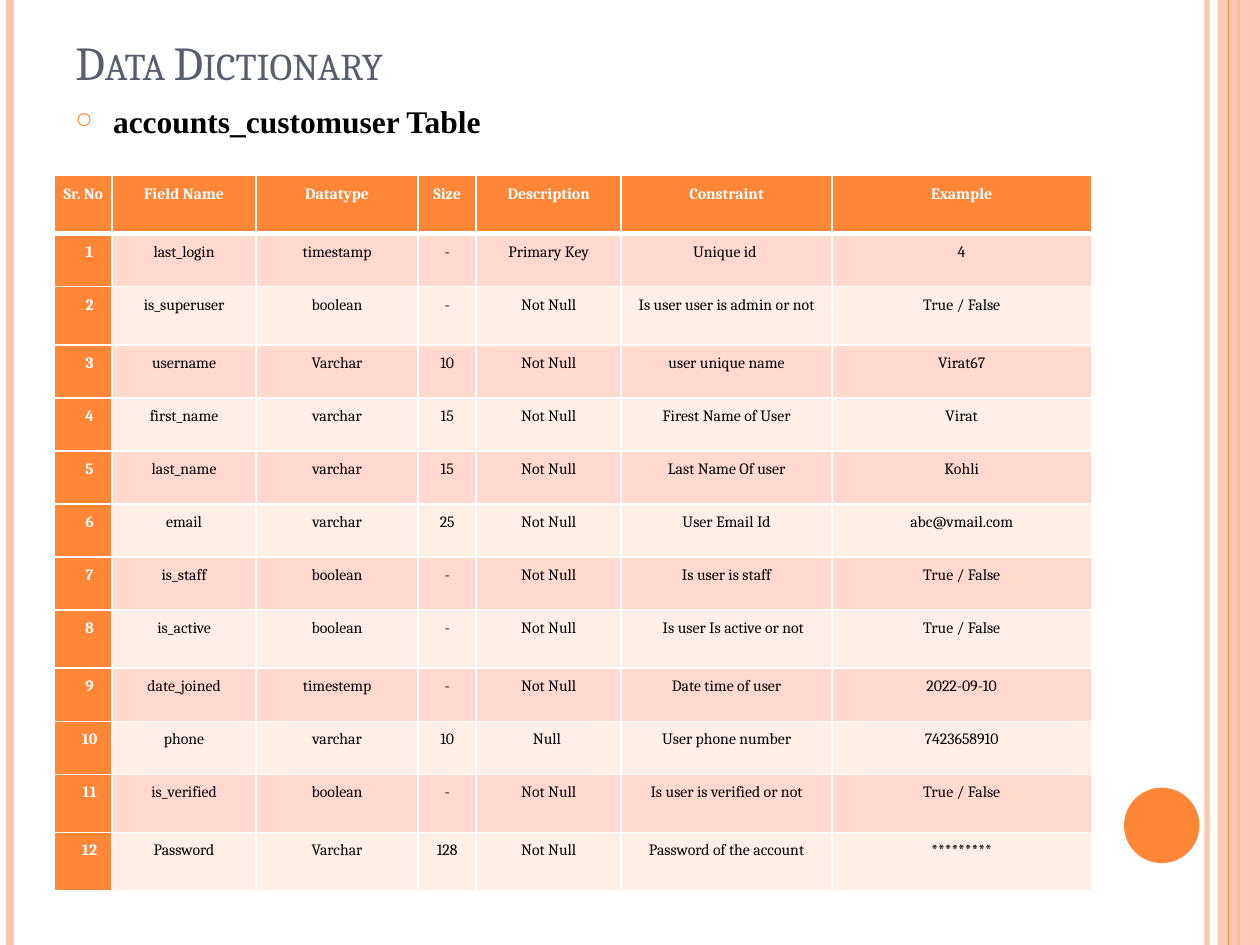
from typing import NamedTuple, Optional

from lxml import etree
from pptx import Presentation
from pptx import util as u
from pptx.dml import color
from pptx.enum import shapes, text
from pptx.oxml import ns

WIDTH, HEIGHT = 25.4, 19.05
ORANGE, PEACH, WHITE, BLACK, SLATE = "FE8637", "FEC3AE", "FFFFFF", "000000", "575F6D"
BANDS = ("FFD9CE", "FFEDE8")


class Stripe(NamedTuple):
    x: float
    hex_color: str
    points: float
    opacity: Optional[int] = None


class Style(NamedTuple):
    font: str
    size: float
    hex_color: str
    bold: bool = False
    small_caps: bool = False


HEADER = Style("Cambria", 9, WHITE, bold=True)
BODY = Style("Cambria", 9, BLACK)
TITLE = Style("Cambria", 27, SLATE, small_caps=True)
SUBTITLE = Style("Times New Roman", 18, BLACK, bold=True)

STRIPES_BELOW = [Stripe(24.33, PEACH, 3, 93), Stripe(0.21, PEACH, 4.5),
                 Stripe(24.97, ORANGE, 1.5)]
STRIPE_ABOVE = Stripe(24.77, ORANGE, 0.75)

COLUMN_WIDTHS = [1.16, 2.9, 3.27, 1.17, 2.92, 4.25, 5.23]
TALL_ROWS, TALL, SHORT = {0, 2, 8, 11, 12}, 1.17, 1.07
TABBED_FIELD = "is_active"
HEADINGS = ("Sr. No", "Field Name", "Datatype", "Size", "Description", "Constraint", "Example")
FIELDS = [
    ("last_login", "timestamp", "-", "Primary Key", "Unique id ", "4"),
    ("is_superuser", "boolean", "-", "Not Null", "Is user user is admin or not", "True / False"),
    ("username", "Varchar", "10", "Not Null", "user unique name", "Virat67"),
    ("first_name", "varchar", "15", "Not Null", "Firest Name of User", "Virat"),
    ("last_name", "varchar", "15", "Not Null", "Last Name Of user", "Kohli"),
    ("email", "varchar", "25", "Not Null", "User Email Id", "abc@vmail.com"),
    ("is_staff", "boolean", "-", "Not Null", "Is user is staff", "True / False"),
    (TABBED_FIELD, "boolean", "-", "Not Null", "\tIs user Is active or not", "True / False"),
    ("date_joined", "timestemp", "-", "Not Null", "Date time of user", "2022-09-10"),
    ("phone", "varchar", "10", "Null ", "User phone number", "7423658910"),
    ("is_verified", "boolean", "-", "Not Null", "Is user is verified or not", "True / False"),
    ("Password", "Varchar", "128", "Not Null", "Password of the account", "*********"),
]


def rgb(hex_color: str) -> color.RGBColor:
    return color.RGBColor.from_string(hex_color)


def add_element(parent, tag: str, **attributes):
    element = etree.SubElement(parent, ns.qn(tag))
    for name, value in attributes.items():
        element.set(name, str(value))
    return element


def set_opacity(properties, percent: int) -> None:
    for element in properties.iter(ns.qn("a:srgbClr")):
        add_element(element, "a:alpha", val=percent * 1000)


def add_stripe(slide, stripe: Stripe) -> None:
    line = slide.shapes.add_connector(shapes.MSO_CONNECTOR.STRAIGHT, u.Cm(stripe.x), 0,
                                      u.Cm(stripe.x), u.Cm(HEIGHT))
    line.line.color.rgb = rgb(stripe.hex_color)
    line.line.width = u.Pt(stripe.points)
    properties = line._element.spPr
    if stripe.opacity:
        set_opacity(properties, stripe.opacity)
    add_element(properties, "a:effectLst")


def add_filled(slide, kind, left: float, top: float, width: float, height: float,
               hex_color: str):
    shape = slide.shapes.add_shape(kind, u.Cm(left), u.Cm(top), u.Cm(width), u.Cm(height))
    shape.shadow.inherit = False
    shape.fill.solid()
    shape.fill.fore_color.rgb = rgb(hex_color)
    shape.line.fill.background()
    return shape


def add_run(paragraph, words: str, style: Style) -> None:
    run = paragraph.add_run()
    run.text = words
    run.font.name = style.font
    run.font.size = u.Pt(style.size)
    run.font.bold = style.bold
    run.font.color.rgb = rgb(style.hex_color)
    if style.small_caps:
        run.font._element.set("cap", "small")


def add_text_box(slide, top: float, height: float, anchor):
    box = slide.shapes.add_textbox(u.Cm(1.27), u.Cm(top), u.Cm(20.75), u.Cm(height))
    box.text_frame.word_wrap = True
    box.text_frame.vertical_anchor = anchor
    return box.text_frame.paragraphs[0]


def add_bullet(paragraph) -> None:
    properties = paragraph._p.get_or_add_pPr()
    properties.set("marL", str(u.Cm(0.76)))
    properties.set("indent", str(-u.Cm(0.76)))
    add_element(add_element(properties, "a:buClr"), "a:srgbClr", val=ORANGE)
    add_element(properties, "a:buSzPct", val=70000)
    add_element(properties, "a:buChar", char="○")


def set_borders(cell, row: int) -> None:
    properties = cell._tc.get_or_add_tcPr()
    widths = {"L": 1, "R": 1, "T": 3 if row == 1 else 1, "B": 3 if row == 0 else 1}
    for index, (side, points) in enumerate(widths.items()):
        line = add_element(properties, f"a:ln{side}", w=u.Pt(points))
        add_element(add_element(line, "a:solidFill"), "a:srgbClr", val=WHITE)
        properties.insert(index, line)


def fill_cell(cell, words: str, row: int, column: int) -> None:
    is_heading = row == 0 or column == 0
    cell.margin_left = cell.margin_right = u.Cm(0.18)
    cell.margin_top = cell.margin_bottom = 0
    cell.fill.solid()
    cell.fill.fore_color.rgb = rgb(ORANGE if is_heading else BANDS[(row - 1) % 2])
    set_borders(cell, row)

    paragraph = cell.text_frame.paragraphs[0]
    paragraph.line_spacing = 1.5
    paragraph.space_after = u.Pt(10)
    properties = paragraph._p.get_or_add_pPr()
    if words.startswith("\t"):
        paragraph.alignment = text.PP_ALIGN.LEFT
        tabs = add_element(properties, "a:tabLst")
        add_element(tabs, "a:tab", pos=u.Cm(0.66), algn="l")
    else:
        paragraph.alignment = text.PP_ALIGN.CENTER
    if row and column == 0:
        properties.set("marL", str(u.Cm(0.25)))
    add_run(paragraph, words, HEADER if is_heading else BODY)


def add_field_table(slide) -> None:
    rows = [HEADINGS] + [(str(number), *field) for number, field in enumerate(FIELDS, 1)]
    heights = [TALL if index in TALL_ROWS else SHORT for index in range(len(rows))]
    table = slide.shapes.add_table(len(rows), len(HEADINGS), u.Cm(1.1), u.Cm(3.54),
                                   u.Cm(sum(COLUMN_WIDTHS)), u.Cm(sum(heights))).table
    for column, width in zip(table.columns, COLUMN_WIDTHS):
        column.width = u.Cm(width)
    for row_index, (values, height) in enumerate(zip(rows, heights)):
        table.rows[row_index].height = u.Cm(height)
        for column_index, words in enumerate(values):
            fill_cell(table.cell(row_index, column_index), words, row_index, column_index)


def main() -> None:
    presentation = Presentation()
    presentation.slide_width, presentation.slide_height = u.Cm(WIDTH), u.Cm(HEIGHT)
    slide = presentation.slides.add_slide(presentation.slide_layouts[6])

    # Side decoration
    for stripe in STRIPES_BELOW:
        add_stripe(slide, stripe)
    band = add_filled(slide, shapes.MSO_SHAPE.RECTANGLE, 24.55, 0, 0.85, HEIGHT, PEACH)
    set_opacity(band._element.spPr, 87)
    add_stripe(slide, STRIPE_ABOVE)
    add_filled(slide, shapes.MSO_SHAPE.OVAL, 22.66, 15.88, 1.52, 1.52, ORANGE)

    # Title and table name
    add_run(add_text_box(slide, 0.76, 1.17, text.MSO_ANCHOR.BOTTOM), "Data Dictionary", TITLE)
    table_name = add_text_box(slide, 1.93, 16.05, text.MSO_ANCHOR.TOP)
    add_bullet(table_name)
    add_run(table_name, "accounts_customuser Table", SUBTITLE)

    # Field list
    add_field_table(slide)
    presentation.save("out.pptx")


if __name__ == "__main__":
    main()
